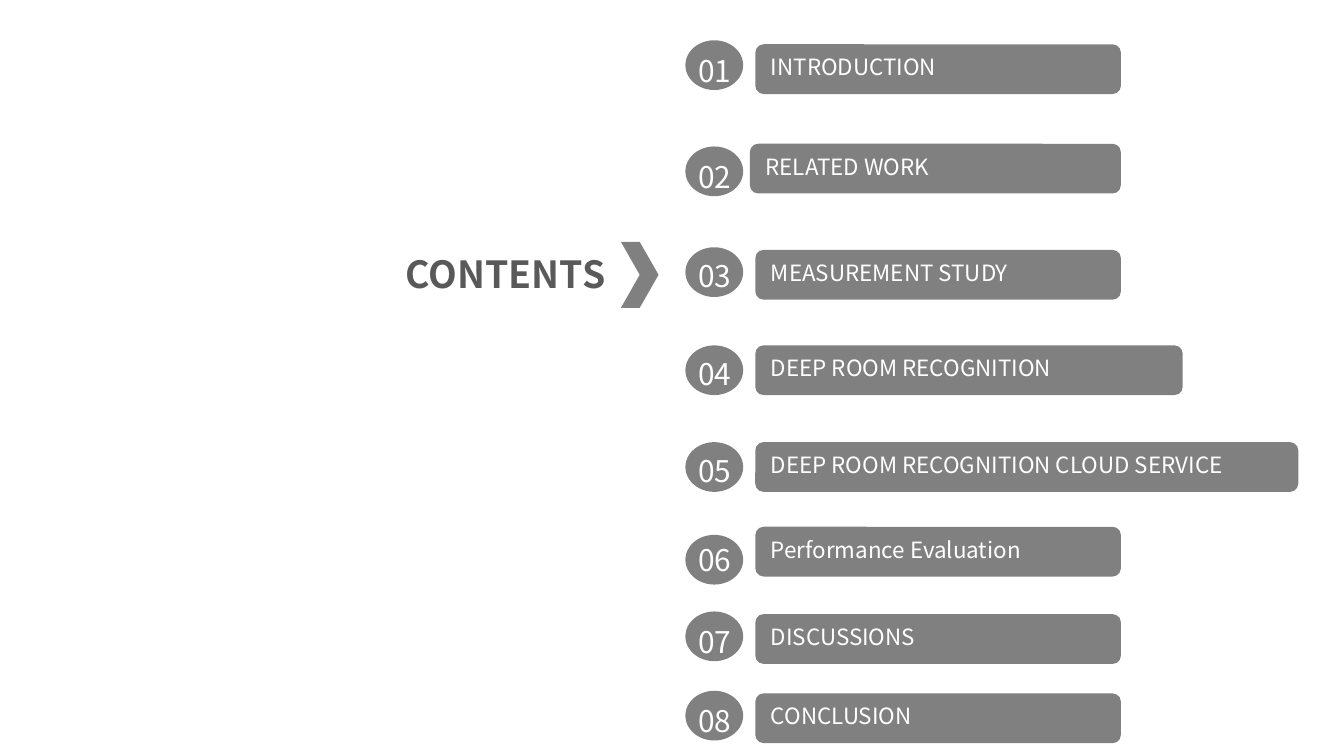
from pptx import Presentation
from pptx.dml.color import RGBColor
from pptx.enum.shapes import MSO_SHAPE as Shape
from pptx.enum.text import MSO_ANCHOR as Anchor, MSO_AUTO_SIZE as AutoSize, PP_ALIGN as Align
from pptx.util import Inches, Pt

GRAY = RGBColor(0x80, 0x80, 0x80)
DARK = RGBColor(0x59, 0x59, 0x59)
WHITE = RGBColor(0xFF, 0xFF, 0xFF)
FONT = "Noto Sans CJK SC"

ROW_HEIGHT = 0.37
BADGE_LEFT, BADGE_WIDTH = 5.1, 0.43
NUMBER_LEFT, NUMBER_WIDTH = 5.06, 0.52
BAR_LEFT, BAR_RIGHT = 5.62, 8.34

# title, bar left, bar right, then the tops of bar, badge and number
CHAPTERS = [
    ("INTRODUCTION", BAR_LEFT, BAR_RIGHT, 0.33, 0.3, 0.34),
    ("RELATED WORK", 5.58, BAR_RIGHT, 1.07, 1.09, 1.13),
    ("MEASUREMENT STUDY", BAR_LEFT, BAR_RIGHT, 1.86, 1.84, 1.87),
    ("DEEP ROOM RECOGNITION", BAR_LEFT, 8.8, 2.57, 2.57, 2.6),
    ("DEEP ROOM RECOGNITION CLOUD SERVICE", BAR_LEFT, 9.66, 3.29, 3.29, 3.32),
    ("Performance Evaluation", BAR_LEFT, BAR_RIGHT, 3.92, 3.98, 3.98),
    ("DISCUSSIONS", BAR_LEFT, BAR_RIGHT, 4.57, 4.55, 4.59),
    ("CONCLUSION", BAR_LEFT, BAR_RIGHT, 5.16, 5.14, 5.18),
]


def write(frame, text, size, color=WHITE, align=Align.LEFT, bold=False):
    """Fill a text frame with one formatted line."""
    frame.text = text
    frame.word_wrap = True
    frame.auto_size = AutoSize.SHAPE_TO_FIT_TEXT
    frame.vertical_anchor = Anchor.TOP
    line = frame.paragraphs[0]
    line.alignment = align
    font = line.runs[0].font
    font.name, font.size, font.bold = FONT, Pt(size), bold
    font.color.rgb = color


def add_block(slide, kind, left, top, width, height):
    """Add a flat gray shape without outline."""
    block = slide.shapes.add_shape(
        kind, Inches(left), Inches(top), Inches(width), Inches(height))
    block.shadow.inherit = False
    block.fill.solid()
    block.fill.fore_color.rgb = GRAY
    block.line.fill.background()
    return block


def add_label(slide, text, left, top, width, height, size, **style):
    """Add a text box with one line."""
    label = slide.shapes.add_textbox(
        Inches(left), Inches(top), Inches(width), Inches(height))
    write(label.text_frame, text, size, **style)


def add_chapter(slide, number, title, left, right, bar_top, badge_top, number_top):
    """Add a chapter bar with its numbered badge."""
    bar = add_block(slide, Shape.ROUNDED_RECTANGLE, left, bar_top, right - left, ROW_HEIGHT)
    write(bar.text_frame, title, 12)
    add_block(slide, Shape.OVAL, BADGE_LEFT, badge_top, BADGE_WIDTH, ROW_HEIGHT)
    add_label(slide, f"{number:02}", NUMBER_LEFT, number_top, NUMBER_WIDTH, ROW_HEIGHT,
              16, align=Align.CENTER)


def main():
    """Build the contents slide."""
    deck = Presentation()
    deck.slide_width = Inches(10)
    deck.slide_height = deck.slide_width * 9 // 16
    slide = deck.slides.add_slide(deck.slide_layouts[6])
    add_label(slide, "CONTENTS", 2.92, 1.82, 2.31, 0.44, 20, color=DARK, bold=True)
    add_block(slide, Shape.CHEVRON, 4.62, 1.8, 0.28, 0.49)
    for number, chapter in enumerate(CHAPTERS, 1):
        add_chapter(slide, number, *chapter)
    deck.save("out.pptx")


main()
